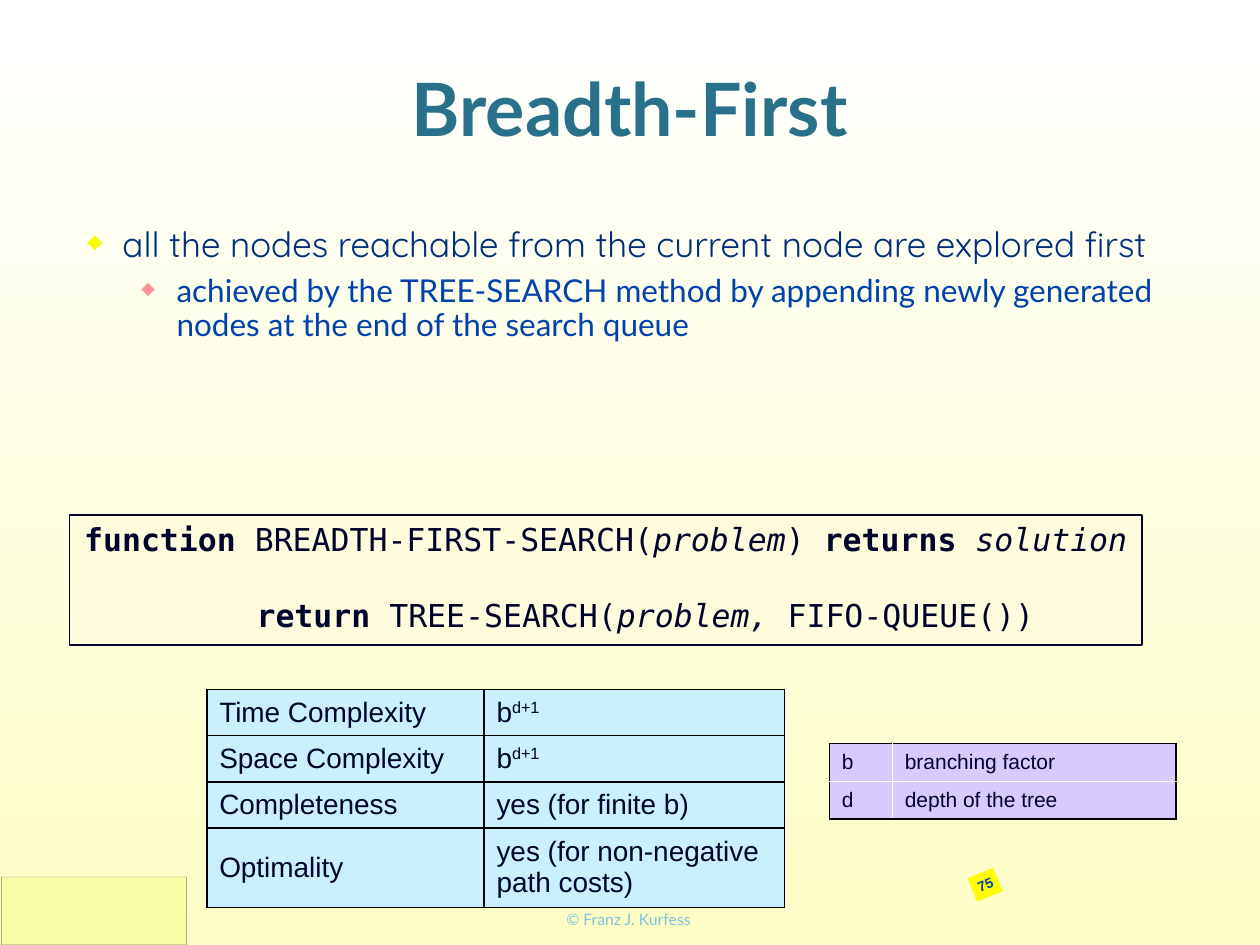
from pptx import Presentation
from pptx.dml.color import RGBColor
from pptx.enum.shapes import MSO_SHAPE as Form
from pptx.enum.text import MSO_ANCHOR as Anchor, PP_ALIGN as Align
from pptx.oxml import parse_xml
from pptx.oxml.ns import nsdecls
from pptx.util import Cm, Pt

INK = "00032B"
BLACK = "000000"
PAD = Cm(0.1)


def rgb(code):
    return RGBColor.from_string(code)


def style(para, size, face, tint, bold=None, align=None):
    font = para.font
    font.size, font.name, font.bold = Pt(size), face, bold
    font.color.rgb = rgb(tint)
    para.alignment = align


deck = Presentation()
deck.slide_width, deck.slide_height = Cm(25.4), Cm(19.05)
slide = deck.slides.add_slide(deck.slide_layouts[6])
shapes = slide.shapes

back = slide.background.fill
back.gradient()
back.gradient_angle = 90
for stop, tint in zip(back.gradient_stops, ("FDFDC5", "FFFFFF")):
    stop.color.rgb = rgb(tint)

boxes = {}
for name, form, left, top, width, height, fill, line, weight in (
    ("corner", Form.RECTANGLE, 0.03, 17.68, 3.73, 1.37, "F8FC84", BLACK, 0.25),
    ("footer", None, 8.53, 18.21, 8.28, 0.66, None, None, 0),
    ("title", None, 1.52, 0, 22.35, 4.32, None, None, 0),
    ("body", None, 1.53, 4.48, 22.33, 13.26, None, None, 0),
    ("code", Form.RECTANGLE, 1.4, 10.39, 21.62, 2.62, "FEFCDD", INK, 1),
    ("number", Form.RECTANGLE, 19.58, 17.58, 0.56, 0.51, "FFFB00", None, 0),
):
    spot = [Cm(v) for v in (left, top, width, height)]
    if form is None:
        box = shapes.add_textbox(*spot)
    else:
        box = shapes.add_shape(form, *spot)
        box.shadow.inherit = False
        box.fill.solid()
        box.fill.fore_color.rgb = rgb(fill)
        if line:
            box.line.color.rgb = rgb(line)
            box.line.width = Pt(weight)
        else:
            box.line.fill.background()
    frame = box.text_frame
    frame.word_wrap = name != "number"
    frame.margin_left = frame.margin_right = PAD
    frame.margin_top = frame.margin_bottom = PAD
    frame.vertical_anchor = Anchor.TOP if name in ("body", "code") else Anchor.MIDDLE
    boxes[name] = box

for fill in boxes["corner"].fill, boxes["corner"].line.fill:
    tone = fill._xPr.find(".//{*}srgbClr")
    tone.append(parse_xml(f'<a:alpha {nsdecls("a")} val="48000"/>'))
boxes["number"].rotation = 337.5

for name, text, size, face, tint, bold in (
    ("footer", "© Franz J. Kurfess", 9, "Lato", "80C4DF", False),
    ("title", "Breadth-First", 42, "Lato", "29708A", True),
    ("number", "75", 8, "Arial", "0048AA", True),
):
    para = boxes[name].text_frame.paragraphs[0]
    para.text = text
    style(para, size, face, tint, bold, Align.CENTER)

frame = boxes["body"].text_frame
for level, (text, size, face, tint, dot, left, gap) in enumerate((
    ("all the nodes reachable from the current node are explored first",
     20, "Quicksand", "002E7A", "FBFA00", 0.84, 0),
    ("achieved by the TREE-SEARCH method by appending newly generated "
     "nodes at the end of the search queue",
     18, "Lato", "0042AA", "FF9398", 1.93, 6),
)):
    para = frame.add_paragraph() if level else frame.paragraphs[0]
    para.text, para.level = text, level
    style(para, size, face, tint)
    para.line_spacing, para.space_before = 0.9, Pt(gap)
    props = para._p.get_or_add_pPr()
    props.set("marL", str(Cm(left)))
    props.set("indent", str(-Cm(0.71)))
    for tag in (
        f'<a:buClr {nsdecls("a")}><a:srgbClr val="{dot}"/></a:buClr>',
        f'<a:buSzPct {nsdecls("a")} val="56000"/>',
        f'<a:buChar {nsdecls("a")} char="◆"/>',
    ):
        props.insert_element_before(parse_xml(tag), "a:tabLst", "a:defRPr", "a:extLst")

frame = boxes["code"].text_frame
for row, runs in enumerate((
    (("function", "b"), (" BREADTH-FIRST-SEARCH(", ""), ("problem", "i"),
     (") ", ""), ("returns ", "b"), ("solution", "i")),
    (("return ", "b"), ("TREE-SEARCH(", ""), ("problem, ", "i"), ("FIFO-QUEUE())", "")),
)):
    para = frame.add_paragraph() if row else frame.paragraphs[0]
    style(para, 18, "DejaVu Sans Mono", INK, align=Align.CENTER)
    if row:
        para.space_before = Pt(21.5)
        para._p.get_or_add_pPr().set("marL", str(Cm(1.6)))
    for text, mark in runs:
        run = para.add_run()
        run.text = text
        run.font.bold, run.font.italic = mark == "b", mark == "i"

for left, top, cols, rows, size, gap, fill, grid, data in (
    (16.72, 14.99, (1.27, 5.72), (0.76, 0.76), 12, 2, "D9CAFE", False,
     (("b", "branching factor"), ("d", "depth of the tree"))),
    (4.17, 13.9, (5.59, 6.05), (0.93, 0.93, 0.93, 1.6), 16, 3, "CAF0FE", True,
     (("Time Complexity", "b^d+1"), ("Space Complexity", "b^d+1"),
      ("Completeness", "yes (for finite b)"),
      ("Optimality", "yes (for non-negative path costs)"))),
):
    table = shapes.add_table(len(rows), len(cols), Cm(left), Cm(top),
                             Cm(sum(cols)), Cm(sum(rows))).table
    table.first_row = table.horz_banding = False
    for col, width in zip(table.columns, cols):
        col.width = Cm(width)
    for r, high in enumerate(rows):
        table.rows[r].height = Cm(high)
        for c, text in enumerate(data[r]):
            cell = table.cell(r, c)
            cell.margin_left = cell.margin_right = Cm(0.15)
            cell.margin_top = cell.margin_bottom = Cm(0.08)
            cell.vertical_anchor = Anchor.MIDDLE
            para = cell.text_frame.paragraphs[0]
            style(para, size, "Arial", INK)
            para.space_before = Pt(gap)
            para._p.get_or_add_pPr().set("marL", str(Cm(0.1)))
            for part, word in enumerate(text.split("^")):
                run = para.add_run()
                run.text = word
                if part:
                    run.font._element.set("baseline", "30000")
            props = cell._tc.get_or_add_tcPr()
            for side, edge in (("L", c == 0), ("R", c == len(cols) - 1),
                               ("T", r == 0), ("B", r == len(rows) - 1)):
                tint = BLACK if grid or edge else "FFFFFF"
                props.append(parse_xml(
                    f'<a:ln{side} {nsdecls("a")} w="12700"><a:solidFill>'
                    f'<a:srgbClr val="{tint}"/></a:solidFill></a:ln{side}>'))
            cell.fill.solid()
            cell.fill.fore_color.rgb = rgb(fill)

deck.save("out.pptx")
